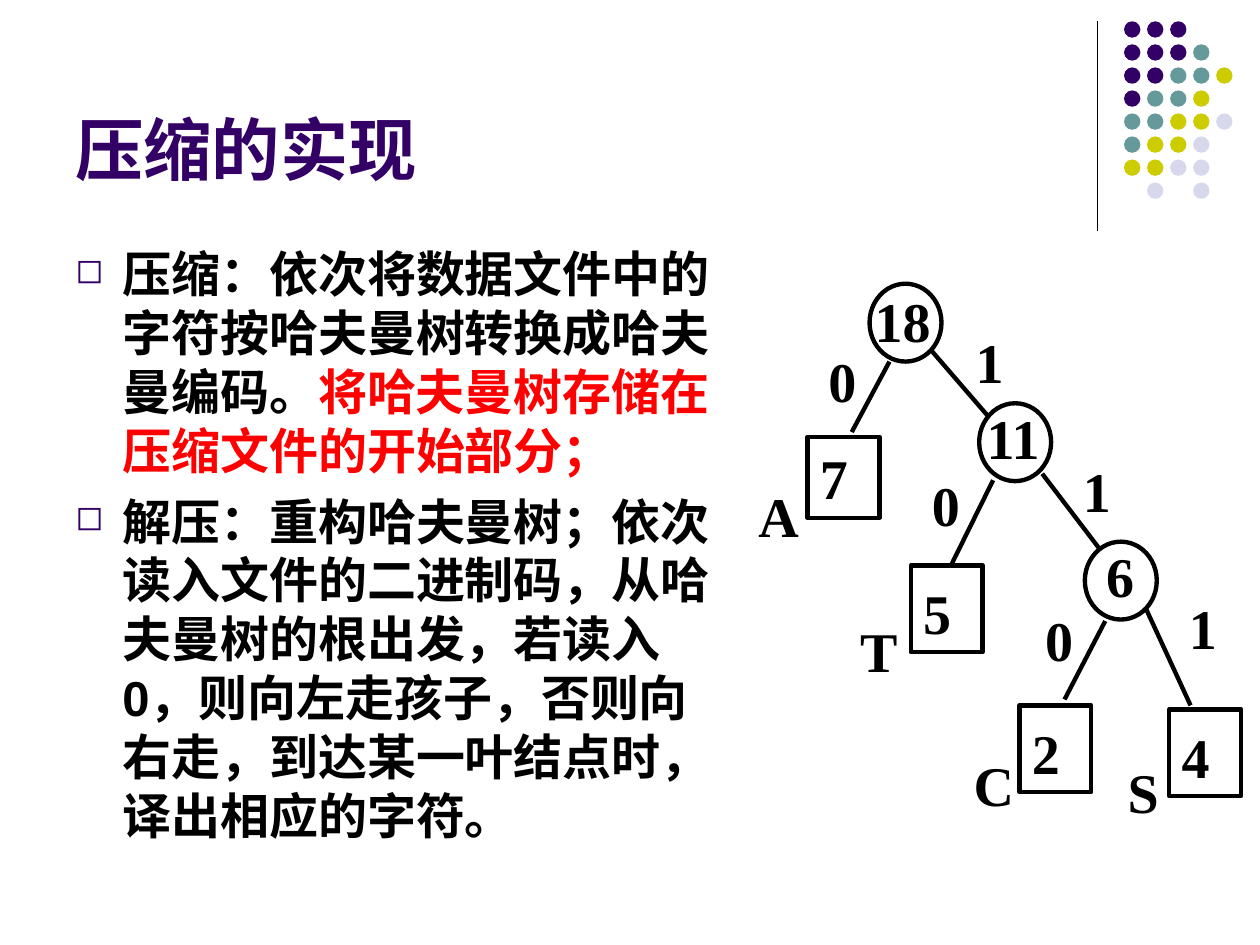
from dataclasses import dataclass

from lxml.etree import SubElement
from pptx import Presentation
from pptx.dml.color import RGBColor
from pptx.enum.shapes import MSO_CONNECTOR, MSO_SHAPE
from pptx.enum.text import MSO_ANCHOR, PP_ALIGN
from pptx.oxml.ns import qn
from pptx.util import Cm, Pt


@dataclass(frozen=True)
class Theme:
    purple: str = "330066"
    teal: str = "669999"
    lime: str = "CCCC00"
    lavender: str = "D8D8EC"
    black: str = "000000"
    red: str = "FF0000"
    sans: str = "Arial"
    serif: str = "Times New Roman"
    title_size: int = 39
    body_size: int = 28
    tree_size: int = 32
    tree_line: float = 2.5
    rule_line: float = 0.75


THEME = Theme()


def add_text(paragraph, text, *, size, font, color=THEME.black, bold=True):
    run = paragraph.add_run()
    run.text = text
    run.font.size = Pt(size)
    run.font.name = font
    run.font.bold = bold
    run.font.color.rgb = RGBColor.from_string(color)


class SlideBuilder:
    def __init__(self, slide, theme):
        self.slide = slide
        self.theme = theme

    def prepare(self, frame, inset=(0.25, 0.13), anchor=MSO_ANCHOR.TOP):
        frame.word_wrap = True
        frame.vertical_anchor = anchor
        frame.margin_left = frame.margin_right = Cm(inset[0])
        frame.margin_top = frame.margin_bottom = Cm(inset[1])
        return frame

    def text_box(self, left, top, width, height, **layout):
        box = self.slide.shapes.add_textbox(Cm(left), Cm(top), Cm(width), Cm(height))
        return self.prepare(box.text_frame, **layout)

    def shape(self, kind, left, top, width, height, fill=None):
        shape = self.slide.shapes.add_shape(kind, Cm(left), Cm(top), Cm(width), Cm(height))
        shape.shadow.inherit = False
        if fill:
            shape.fill.solid()
            shape.fill.fore_color.rgb = RGBColor.from_string(fill)
            shape.line.fill.background()
        else:
            shape.fill.background()
            shape.line.color.rgb = RGBColor.from_string(self.theme.black)
            shape.line.width = Pt(self.theme.tree_line)
        return shape

    def line(self, x1, y1, x2, y2, weight):
        line = self.slide.shapes.add_connector(
            MSO_CONNECTOR.STRAIGHT, Cm(x1), Cm(y1), Cm(x2), Cm(y2))
        line.line.color.rgb = RGBColor.from_string(self.theme.black)
        line.line.width = Pt(weight)
        SubElement(line._element.spPr, qn("a:effectLst"))

    def title(self, text):
        frame = self.text_box(1.27, 0.33, 20.96, 3.61, anchor=MSO_ANCHOR.BOTTOM)
        add_text(frame.paragraphs[0], text, size=self.theme.title_size,
                 font=self.theme.sans, color=self.theme.purple)

    def bullet(self, paragraph):
        properties = paragraph._p.get_or_add_pPr()
        properties.set("marL", str(Cm(0.95)))
        properties.set("indent", str(Cm(-0.95)))
        color = SubElement(properties, qn("a:buClr"))
        SubElement(color, qn("a:srgbClr"), val=self.theme.purple)
        SubElement(properties, qn("a:buSzPct"), val="70000")
        SubElement(properties, qn("a:buChar"), char="◻")

    def bullet_list(self, items):
        frame = self.text_box(1.27, 4.78, 13.54, 12.24)
        for index, runs in enumerate(items):
            paragraph = frame.add_paragraph() if index else frame.paragraphs[0]
            self.bullet(paragraph)
            if index:
                paragraph.space_before = Pt(7)
            for text, color in runs:
                add_text(paragraph, text, size=self.theme.body_size,
                         font=self.theme.sans, color=color)

    def tree_text(self, frame, text, align=PP_ALIGN.LEFT, spacing=1.0):
        paragraph = frame.paragraphs[0]
        paragraph.alignment = align
        paragraph.line_spacing = spacing
        add_text(paragraph, text, size=self.theme.tree_size, font=self.theme.serif)

    def leaf(self, weight, left, top, height, spacing, letter, letter_left, letter_top):
        square = self.shape(MSO_SHAPE.RECTANGLE, left, top, 1.45, height)
        self.tree_text(self.prepare(square.text_frame), weight, spacing=spacing)
        self.tree_text(self.text_box(letter_left, letter_top, 1.65, 1.63), letter)

    def inner_node(self, weight, left, top, label_left, label_top):
        self.shape(MSO_SHAPE.OVAL, left, top, 1.45, 1.57)
        label = self.text_box(label_left, label_top, 1.17, 1.35, inset=(0, 0))
        self.tree_text(label, weight)

    def edge(self, bit, ends, bit_left, bit_top):
        self.line(*ends, self.theme.tree_line)
        self.tree_text(self.text_box(bit_left, bit_top, 1.86, 1.63), bit, PP_ALIGN.CENTER)

    def dot_grid(self, rows, left, top, pitch, diameter):
        colors = {"P": self.theme.purple, "T": self.theme.teal,
                  "L": self.theme.lime, "V": self.theme.lavender}
        for row, codes in enumerate(rows):
            for column, code in enumerate(codes):
                if code in colors:
                    self.shape(MSO_SHAPE.OVAL, left + column * pitch, top + row * pitch,
                               diameter, diameter, fill=colors[code])


# One letter per dot colour, a point for a gap
DOT_ROWS = ["PPP", "PPPT", "PPTTL", "PTTL", "TTLLV", "TLLV", "LLVV", ".V.V"]

BULLETS = [
    [("压缩：依次将数据文件中的字符按哈夫曼树转换成哈夫曼编码。", THEME.black),
     ("将哈夫曼树存储在压缩文件的开始部分；", THEME.red)],
    [("解压：重构哈夫曼树；依次读入文件的二进制码，从哈夫曼树的根出发，"
      "若读入0，则向左走孩子，否则向右走，到达某一叶结点时，译出相应的字符。", THEME.black)],
]

# Weight, square position, height, line spacing, letter and its position
LEAVES = [
    ("7", 16.28, 8.81, 1.63, 1.0, "A", 15.04, 9.58),
    ("5", 18.36, 11.4, 1.75, 1.1, "T", 17.09, 12.29),
    ("2", 20.55, 14.22, 1.75, 1.1, "C", 19.38, 15.01),
    ("4", 23.57, 14.3, 1.75, 1.1, "S", 22.48, 15.14),
]

# Weight, circle position, label position
INNER_NODES = [
    ("18", 17.53, 5.72, 17.63, 5.77),
    ("11", 19.74, 8.13, 19.89, 8.13),
    ("6", 21.87, 10.92, 22.3, 10.92),
]

# Bit, line ends, bit position
EDGES = [
    ("0", (17.93, 7.29, 17.17, 8.71), 16.05, 6.86),
    ("1", (18.77, 7.06, 19.91, 8.38), 19.02, 6.48),
    ("0", (20.02, 9.68, 19.18, 11.38), 18.14, 9.35),
    ("1", (21.01, 9.55, 22.17, 11.07), 21.18, 9.07),
    ("0", (22.28, 12.52, 21.46, 14.1), 20.42, 12.07),
    ("1", (23.11, 12.29, 24, 14.22), 23.32, 11.84),
]


def main():
    presentation = Presentation()
    presentation.slide_width = Cm(25.4)
    presentation.slide_height = Cm(19.05)
    slide = presentation.slides.add_slide(presentation.slide_layouts[6])
    builder = SlideBuilder(slide, THEME)

    # Corner decoration
    builder.line(22.12, 0.43, 22.12, 4.65, THEME.rule_line)
    builder.dot_grid(DOT_ROWS, left=22.66, top=0.43, pitch=3.25 / 7, diameter=0.33)

    # Title and explanation
    builder.title("压缩的实现")
    builder.bullet_list(BULLETS)

    # Huffman tree
    for leaf in LEAVES:
        builder.leaf(*leaf)
    for node in INNER_NODES:
        builder.inner_node(*node)
    for edge in EDGES:
        builder.edge(*edge)

    presentation.save("out.pptx")


if __name__ == "__main__":
    main()
